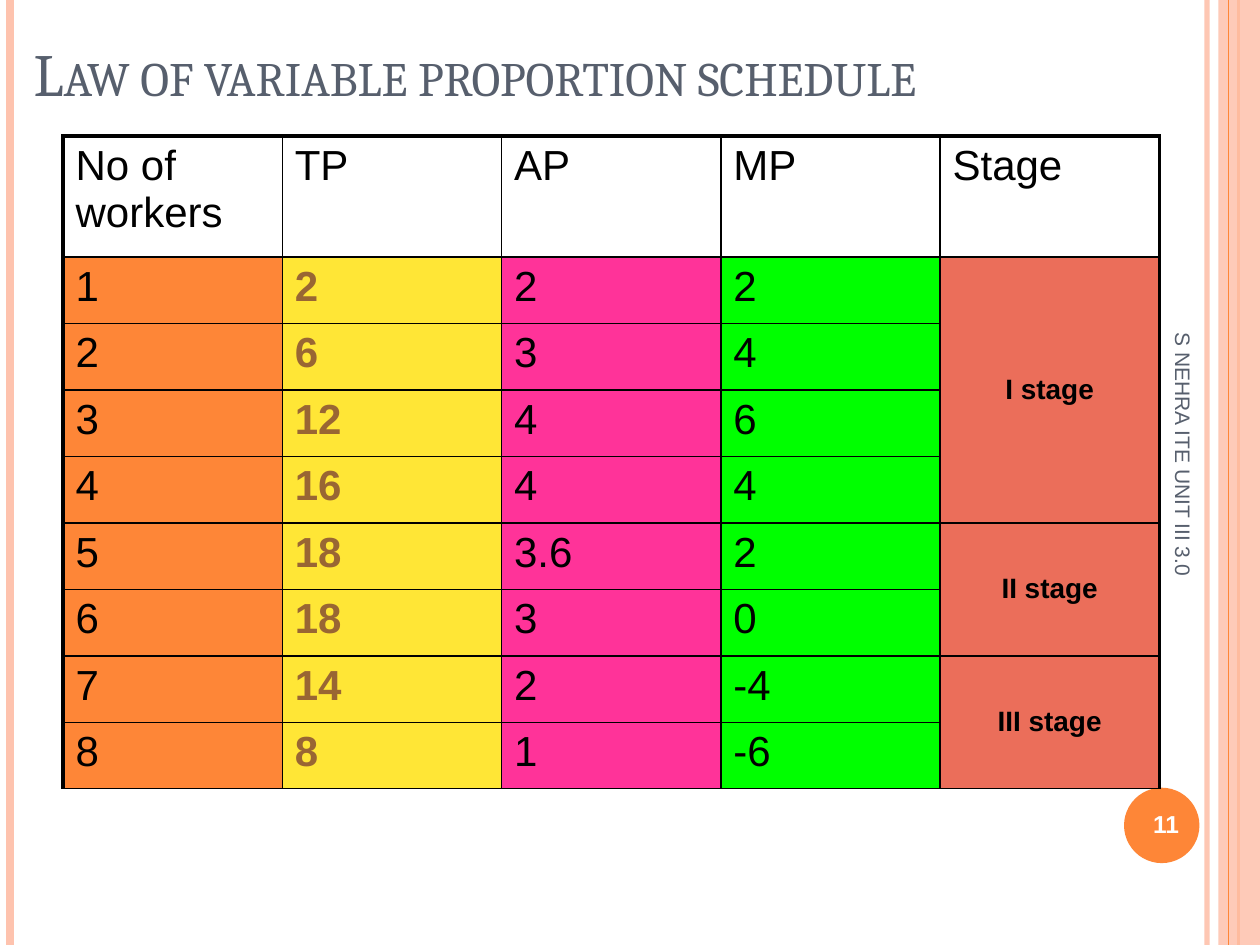
from lxml import etree
from pptx import Presentation
from pptx.dml.color import RGBColor
from pptx.enum.shapes import MSO_CONNECTOR, MSO_SHAPE
from pptx.enum.text import MSO_ANCHOR, PP_ALIGN
from pptx.oxml import parse_xml
from pptx.oxml.ns import nsdecls, qn
from pptx.util import Cm, Pt

STRAIGHT = MSO_CONNECTOR.STRAIGHT
RECTANGLE, OVAL = MSO_SHAPE.RECTANGLE, MSO_SHAPE.OVAL
MIDDLE, BOTTOM, TOP = MSO_ANCHOR.MIDDLE, MSO_ANCHOR.BOTTOM, MSO_ANCHOR.TOP
LEFT, CENTER = PP_ALIGN.LEFT, PP_ALIGN.CENTER

COLORS = {
    "peach": "FEC3AE", "orange": "FE8637", "slate": "575F6D",
    "yellow": "FFE636", "pink": "FF3399", "green": "00FF00",
    "coral": "EB6E5A", "brown": "996633", "black": "000000", "white": "FFFFFF",
}
SLIDE_WIDTH, SLIDE_HEIGHT = 25.4, 19.05

HEADERS = ["No of workers", "TP", "AP", "MP", "Stage"]
SCHEDULE = [
    (1, 2, 2, 2), (2, 6, 3, 4), (3, 12, 4, 6), (4, 16, 4, 4),
    (5, 18, 3.6, 2), (6, 18, 3, 0), (7, 14, 2, -4), (8, 8, 1, -6),
]
COLUMN_FILLS = ["orange", "yellow", "pink", "green"]
STAGES = [("I stage", 1, 4), ("II stage", 5, 6), ("III stage", 7, 8)]


def rgb(name):
    return RGBColor.from_string(COLORS[name])


def set_opacity(color_format_parent, percent):
    """Add an alpha value to the first solid colour below an element."""
    color = color_format_parent.find(".//" + qn("a:srgbClr"))
    etree.SubElement(color, qn("a:alpha")).set("val", str(percent * 1000))


def add_vertical_line(slide, x, color, width, opacity=100):
    line = slide.shapes.add_connector(STRAIGHT, Cm(x), 0, Cm(x), Cm(SLIDE_HEIGHT))
    line.line.color.rgb = rgb(color)
    line.line.width = Pt(width)
    properties = line._element.spPr
    if opacity < 100:
        set_opacity(properties, opacity)
    etree.SubElement(properties, qn("a:effectLst"))


def add_filled_shape(slide, kind, left, top, width, height, color, opacity=100):
    shape = slide.shapes.add_shape(kind, Cm(left), Cm(top), Cm(width), Cm(height))
    shape.shadow.inherit = False
    shape.fill.solid()
    shape.fill.fore_color.rgb = rgb(color)
    shape.line.fill.background()
    if opacity < 100:
        set_opacity(shape._element.spPr, opacity)


def write_text(text_frame, text, size, color, font="Arial", bold=False, align=LEFT):
    paragraph = text_frame.paragraphs[0]
    paragraph.alignment = align
    paragraph.font.name = font
    paragraph.font.size = Pt(size)
    paragraph.font.bold = bold
    paragraph.font.color.rgb = rgb(color)
    run = paragraph.add_run()
    run.text = text
    return run


def add_text(slide, left, top, width, height, text, size, color,
             anchor=MIDDLE, rotation=0, **style):
    box = slide.shapes.add_textbox(Cm(left), Cm(top), Cm(width), Cm(height))
    box.rotation = rotation
    box.text_frame.word_wrap = True
    box.text_frame.vertical_anchor = anchor
    return write_text(box.text_frame, text, size, color, **style)


def set_borders(cell, widths):
    properties = cell._tc.get_or_add_tcPr()
    for position, (side, width) in enumerate(widths.items()):
        border = parse_xml(
            f'<a:{side} {nsdecls("a")} w="{Pt(width)}"><a:solidFill>'
            f'<a:srgbClr val="{COLORS["black"]}"/></a:solidFill></a:{side}>')
        properties.insert(position, border)


def fill_cell(cell, text, fill, size=24, color="black", anchor=TOP, **style):
    cell.fill.solid()
    cell.fill.fore_color.rgb = rgb(fill)
    cell.vertical_anchor = anchor
    write_text(cell.text_frame, text, size, color, **style)


def add_schedule_table(slide):
    row_count, column_count = len(SCHEDULE) + 1, len(HEADERS)
    column_width, header_height, row_height = 4.42, 2.44, 1.34
    table = slide.shapes.add_table(
        row_count, column_count, Cm(1.27), Cm(2.74), Cm(column_width * column_count),
        Cm(header_height + row_height * len(SCHEDULE))).table
    table.first_row = table.horz_banding = False
    for column in table.columns:
        column.width = Cm(column_width)
    for index, row in enumerate(table.rows):
        row.height = Cm(row_height if index else header_height)

    # Header row and figures
    for column, header in enumerate(HEADERS):
        fill_cell(table.cell(0, column), header, "white")
    for row, values in enumerate(SCHEDULE, start=1):
        for column, value in enumerate(values):
            is_total = HEADERS[column] == "TP"
            fill_cell(table.cell(row, column), str(value), COLUMN_FILLS[column],
                      color="brown" if is_total else "black", bold=is_total)

    # Stages span several rows of the last column
    last = column_count - 1
    for name, first_row, last_row in STAGES:
        table.cell(first_row, last).merge(table.cell(last_row, last))
        fill_cell(table.cell(first_row, last), name, "coral", size=16,
                  anchor=MIDDLE, bold=True, align=CENTER)

    # Thin grid with a heavier left, top and right edge
    thin, heavy = 1, 2.25
    for row in range(row_count):
        for column in range(column_count):
            set_borders(table.cell(row, column), {
                "lnL": heavy if column == 0 else thin,
                "lnR": heavy if column == last else thin,
                "lnT": heavy if row == 0 else thin,
                "lnB": thin,
            })


def main():
    presentation = Presentation()
    presentation.slide_width = Cm(SLIDE_WIDTH)
    presentation.slide_height = Cm(SLIDE_HEIGHT)
    slide = presentation.slides.add_slide(presentation.slide_layouts[6])

    # Side stripes and page number disc
    add_vertical_line(slide, 24.33, "peach", 3, opacity=93)
    add_vertical_line(slide, 0.2, "peach", 4.5)
    add_vertical_line(slide, 24.97, "orange", 1.5)
    add_filled_shape(slide, RECTANGLE, 24.56, 0, 0.84, SLIDE_HEIGHT, "peach", opacity=87)
    add_vertical_line(slide, 24.77, "orange", 0.75)
    add_filled_shape(slide, OVAL, 22.66, 15.88, 1.52, 1.52, "orange")

    # Title in small capitals
    title = add_text(slide, 0.43, 0.76, 23.7, 1.55, "Law of variable proportion schedule",
                     34.2, "slate", anchor=BOTTOM, font="Cambria")
    title._r.get_or_add_rPr().set("cap", "small")

    add_schedule_table(slide)

    # Page number and footer
    add_text(slide, 22.66, 15.88, 1.7, 1.45, "11", 14, "white", bold=True, align=CENTER)
    add_text(slide, 19.41, 10.39, 8.89, 1.02, "S NEHRA ITE UNIT III 3.0", 12, "slate",
             rotation=90)

    presentation.save("out.pptx")


if __name__ == "__main__":
    main()
